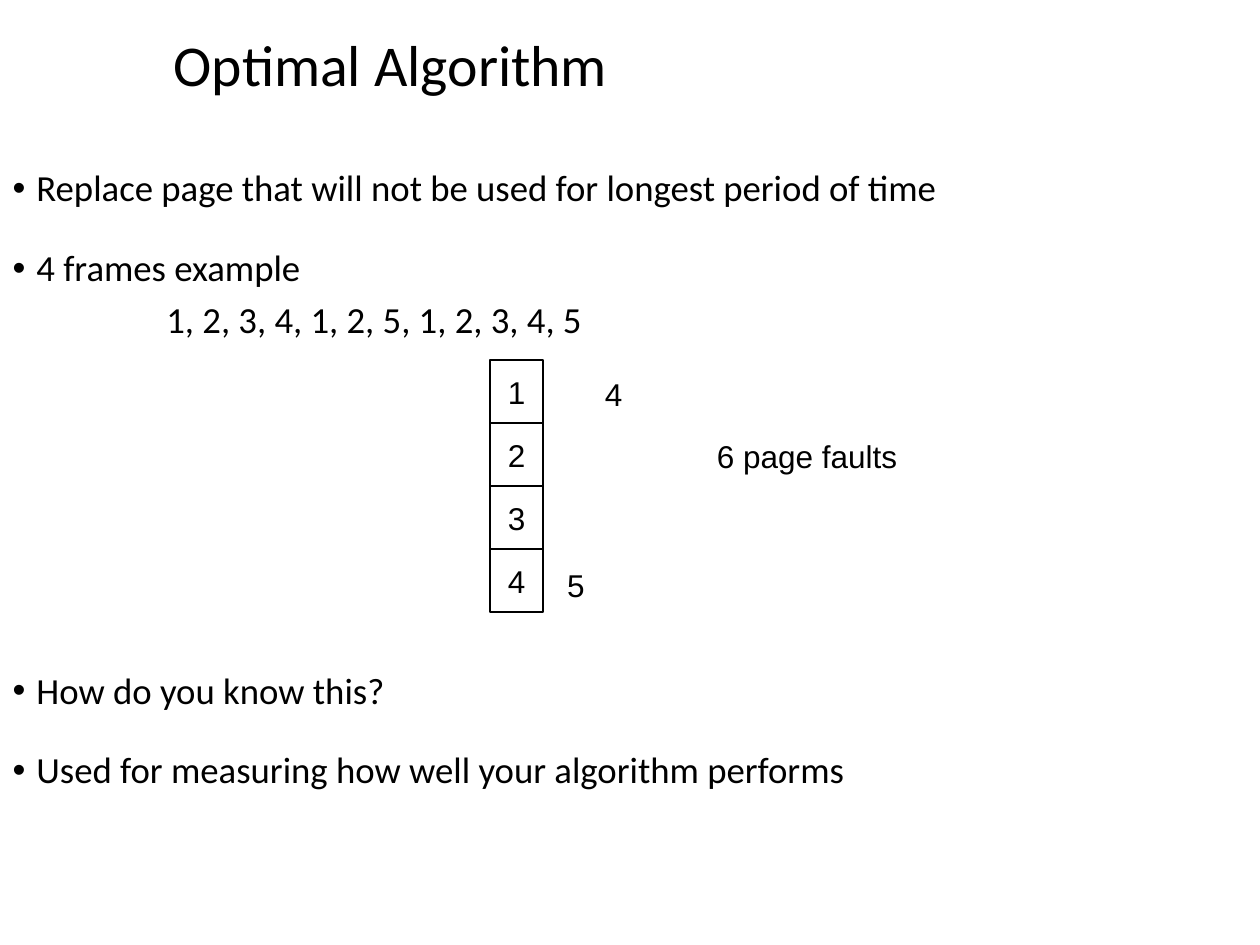
from lxml import etree
from pptx import Presentation
from pptx.dml.color import RGBColor
from pptx.enum.shapes import MSO_SHAPE
from pptx.enum.text import MSO_ANCHOR, MSO_AUTO_SIZE, PP_ALIGN
from pptx.oxml.ns import qn
from pptx.util import Cm, Pt

BLACK = RGBColor(0, 0, 0)
WHITE = RGBColor(255, 255, 255)
RECT = MSO_SHAPE.RECTANGLE
MIDDLE, TOP = MSO_ANCHOR.MIDDLE, MSO_ANCHOR.TOP
LEFT, CENTER = PP_ALIGN.LEFT, PP_ALIGN.CENTER
NO_FIT = MSO_AUTO_SIZE.NONE

# text, space before in points, bulleted
POINTS = [
    ("Replace page that will not be used for longest period of time", 0, True),
    ("4 frames example", 23, True),
    ("1, 2, 3, 4, 1, 2, 5, 1, 2, 3, 4, 5", 7, False),
    ("How do you know this?", 189, True),
    ("Used for measuring how well your algorithm performs", 23, True),
]
FRAMES = ["1", "2", "3", "4"]
# text, left, top, width in cm
LABELS = [
    ("4", 11.94, 7.44, 0.86),
    ("6 page faults", 14.2, 8.69, 4.14),
    ("5", 11.18, 11.28, 0.86),
]


def place(shape, left, top, width, height):
    shape.left, shape.top = Cm(left), Cm(top)
    shape.width, shape.height = Cm(width), Cm(height)


def style(para, font, size, align):
    para.alignment = align
    for run in para.runs:
        run.font.name = font
        run.font.size = Pt(size)
        run.font.color.rgb = BLACK


def set_frame(frame, anchor, wrap):
    frame.auto_size = NO_FIT
    frame.vertical_anchor = anchor
    frame.word_wrap = wrap


def add_title(slide, text):
    title = slide.shapes.title
    place(title, 3.25, 0.56, 22.15, 1.6)
    title.text_frame.text = text
    set_frame(title.text_frame, MIDDLE, True)
    para = title.text_frame.paragraphs[0]
    para.line_spacing = 0.9
    style(para, "Calibri", 33, LEFT)


def indent(para, bullet):
    """Hang the text after its bullet, or set it in without one."""
    props = para._p.get_or_add_pPr()
    props.set("marL", str(Cm(0.48 if bullet else 3.1)))
    props.set("indent", str(Cm(-0.48 if bullet else 0)))
    if not bullet:
        etree.SubElement(props, qn("a:buNone"))


def add_points(slide):
    body = slide.placeholders[1]
    place(body, 0, 3.3, 21.46, 14.12)
    frame = body.text_frame
    frame.text = "\n".join(text for text, _, _ in POINTS)
    set_frame(frame, TOP, True)
    for para, (_, gap, bullet) in zip(frame.paragraphs, POINTS):
        para.line_spacing = 0.9
        para.space_before = Pt(gap)
        style(para, "Calibri", 21, LEFT)
        indent(para, bullet)


def fill_text(shape, text, wrap):
    shape.text_frame.text = text
    set_frame(shape.text_frame, MIDDLE, wrap)
    style(shape.text_frame.paragraphs[0], "Arial", 18, CENTER)


def add_frame(slide, text, top):
    box = slide.shapes.add_shape(RECT, Cm(9.88), Cm(top), Cm(1.07), Cm(1.27))
    box.shadow.inherit = False
    box.fill.solid()
    box.fill.fore_color.rgb = WHITE
    box.line.color.rgb = BLACK
    box.line.width = Pt(0.75)
    fill_text(box, text, False)


def add_label(slide, text, left, top, width):
    box = slide.shapes.add_textbox(Cm(left), Cm(top), Cm(width), Cm(1.02))
    fill_text(box, text, True)


def main():
    deck = Presentation()
    deck.slide_width, deck.slide_height = Cm(25.4), Cm(19.05)
    slide = deck.slides.add_slide(deck.slide_layouts[1])
    add_title(slide, "Optimal Algorithm")
    add_points(slide)
    for row, text in enumerate(FRAMES):
        add_frame(slide, text, 7.26 + row * 1.27)
    for label in LABELS:
        add_label(slide, *label)
    deck.save("out.pptx")


if __name__ == "__main__":
    main()
